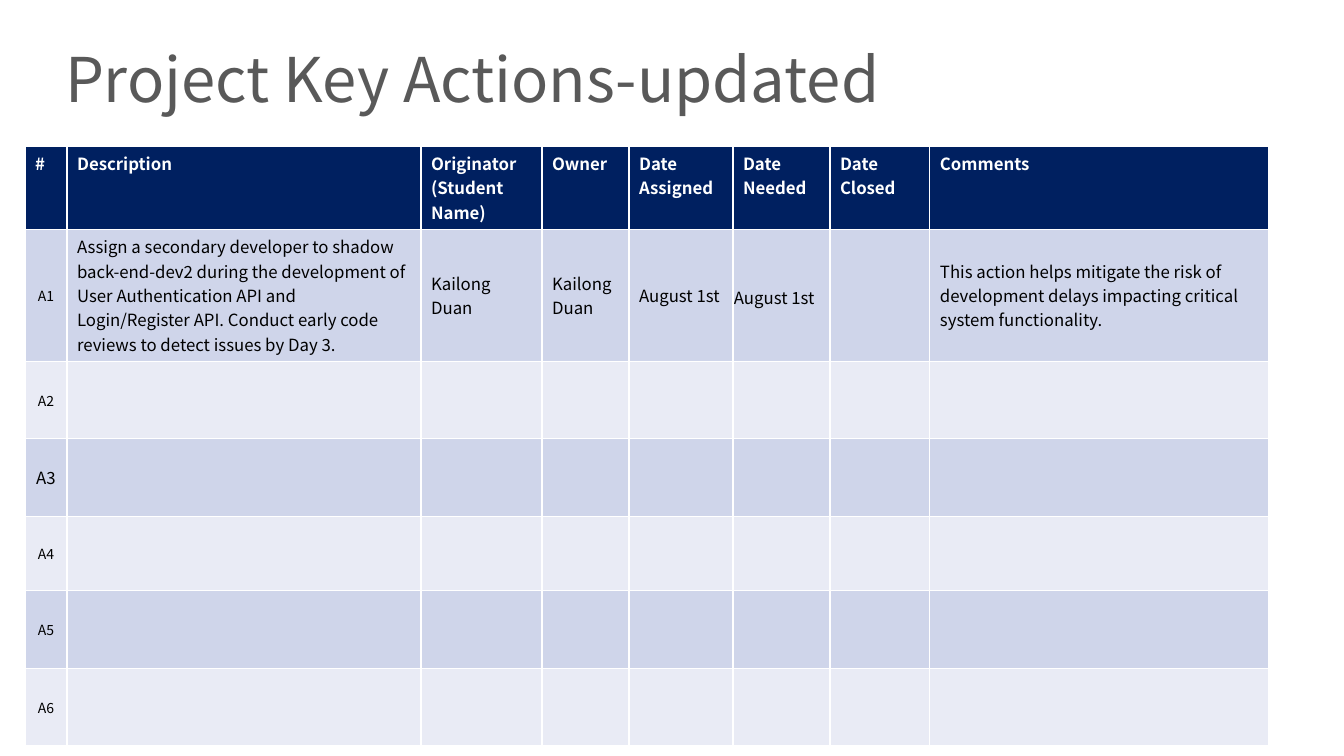
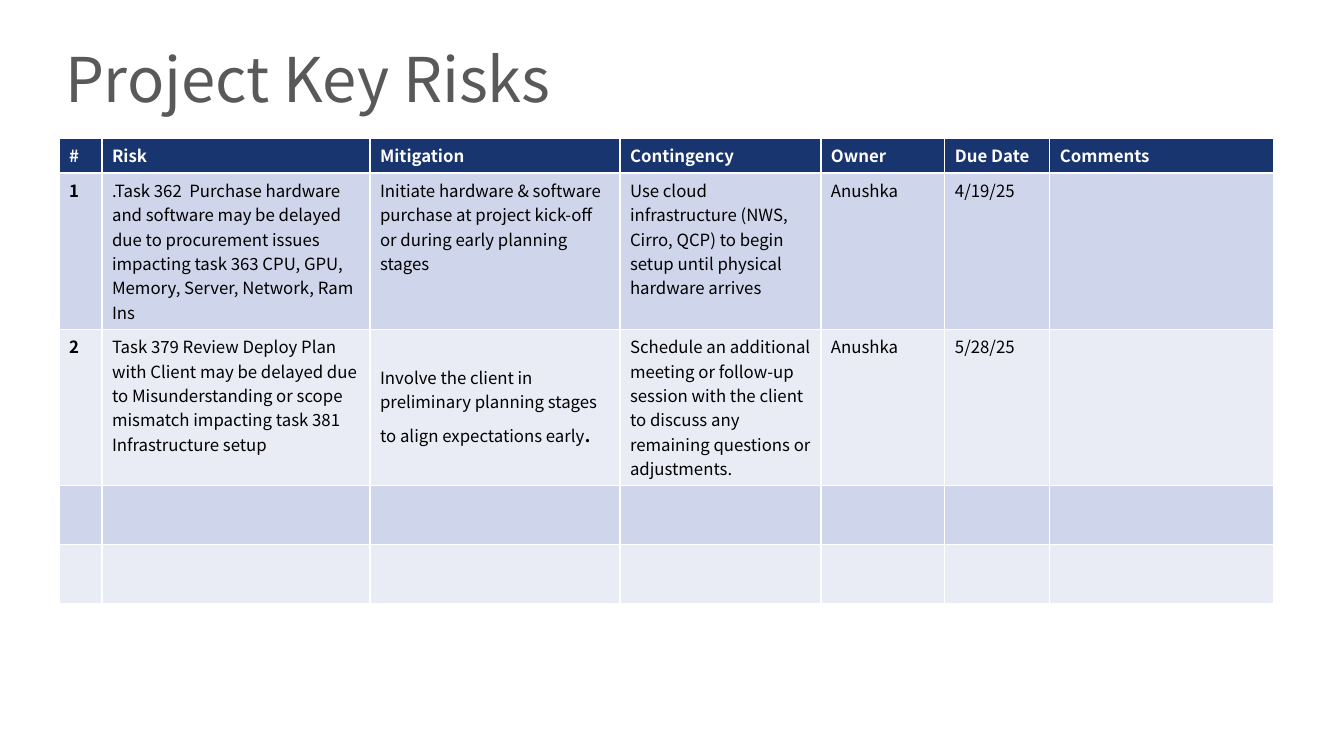
from dataclasses import dataclass

from lxml.etree import SubElement
from pptx import Presentation
from pptx.dml.color import RGBColor
from pptx.enum.text import MSO_ANCHOR as Anchor, MSO_AUTO_SIZE as AutoSize, PP_ALIGN as Align
from pptx.oxml import parse_xml
from pptx.oxml.ns import nsdecls, qn
from pptx.util import Emu, Pt

PX_PER_INCH = 100.8


def px(length):
    return Emu(round(length * 914400 / PX_PER_INCH))


@dataclass(frozen=True)
class Theme:
    font: str = "Noto Sans CJK SC"
    title_color: str = "595959"
    header_fill: str = "002060"
    header_text: str = "FFFFFF"
    body_text: str = "000000"
    bands: tuple = ("CFD5EA", "E9EBF5")
    rule: str = "FFFFFF"
    rule_width: int = 1
    title_size: int = 44
    table_size: int = 12
    number_size: int = 10
    stop_size: int = 18


THEME = Theme()


@dataclass(frozen=True)
class Cell:
    """Content of a table cell; tight cells have almost no margins."""
    text: str = ""
    size: int = THEME.table_size
    bold: bool = False
    align: Align = Align.LEFT
    anchor: Anchor = Anchor.TOP
    spacing: float = 1.0
    tight: bool = False


def write(frame, text, *, size, color=THEME.body_text, bold=False,
          align=Align.LEFT, spacing=1.0, append=False):
    """Fill the frame, one paragraph a line, or append to its last paragraph."""
    for index, line in enumerate(text.split("\n")):
        if index:
            paragraph = frame.add_paragraph()
        else:
            paragraph = frame.paragraphs[-1 if append else 0]
        paragraph.alignment = align
        paragraph.line_spacing = spacing
        run = paragraph.add_run()
        run.text = line
        font = run.font
        font.name, font.size, font.bold = THEME.font, Pt(size), bold
        font.color.rgb = RGBColor.from_string(color)


class Deck:
    def __init__(self, theme):
        self.theme = theme
        self.presentation = Presentation()
        self.presentation.slide_width = px(1344)
        self.presentation.slide_height = px(756)
        self.slide = None

    def add_slide(self, title):
        title_only = self.presentation.slide_layouts[5]
        self.slide = self.presentation.slides.add_slide(title_only)
        heading = self.slide.shapes.title
        heading.left, heading.top, heading.width, heading.height = map(px, (57, 26, 1102, 120))
        frame = heading.text_frame
        frame.word_wrap = True
        frame.auto_size = AutoSize.NONE
        frame.vertical_anchor = Anchor.MIDDLE
        frame.margin_left = frame.margin_right = px(8)
        frame.margin_top = frame.margin_bottom = 0
        write(frame, title, size=self.theme.title_size,
              color=self.theme.title_color, spacing=0.75)

    def add_table(self, left, top, widths, heights, headers, rows, header_opacity=100):
        """Draw a header row and banded body rows; short rows end in empty cells."""
        frame = self.slide.shapes.add_table(
            len(heights), len(widths), px(left), px(top), px(sum(widths)), px(sum(heights)))
        table = frame.table
        table.horz_banding = False
        for column, width in zip(table.columns, widths):
            column.width = px(width)
        for row, height in zip(table.rows, heights):
            row.height = px(height)

        for column, label in enumerate(headers):
            self.fill_cell(table.cell(0, column), Cell(label, bold=True),
                           self.theme.header_fill, self.theme.header_text, header_opacity)
        for number, contents in enumerate(rows, start=1):
            band = self.theme.bands[(number - 1) % 2]
            padding = [Cell()] * (len(widths) - len(contents))
            for column, content in enumerate(contents + padding):
                self.fill_cell(table.cell(number, column), content, band, self.theme.body_text)
        return table

    def fill_cell(self, cell, content, fill, color, opacity=100):
        cell.fill.solid()
        cell.fill.fore_color.rgb = RGBColor.from_string(fill)
        cell.vertical_anchor = content.anchor
        if content.tight:
            cell.margin_left = cell.margin_right = cell.margin_top = px(1)
            cell.margin_bottom = 0
        properties = cell._tc.get_or_add_tcPr()
        if opacity < 100:
            shade = properties.find(qn("a:solidFill")).find(qn("a:srgbClr"))
            SubElement(shade, qn("a:alpha")).set("val", str(opacity * 1000))
        for position, side in enumerate("LRTB"):
            properties.insert(position, parse_xml(
                f'<a:ln{side} {nsdecls("a")} w="{Pt(self.theme.rule_width)}"><a:solidFill>'
                f'<a:srgbClr val="{self.theme.rule}"/></a:solidFill></a:ln{side}>'))
        if content.text:
            write(cell.text_frame, content.text, size=content.size, color=color,
                  bold=content.bold, align=content.align, spacing=content.spacing)


def middle(text, **options):
    return Cell(text, anchor=Anchor.MIDDLE, **options)


def action_number(number):
    size = THEME.table_size if number == 3 else THEME.number_size
    return middle(f"A{number}", size=size, align=Align.CENTER, tight=True)


def add_actions(deck):
    deck.add_slide("Project Key Actions-updated")
    shadowing = [
        middle("Assign a secondary developer to shadow back-end-dev2 during the development of "
               "User Authentication API and Login/Register API. Conduct early code reviews to "
               "detect issues by Day 3."),
        middle("Kailong Duan"),
        middle("Kailong Duan"),
        middle("August 1st"),
        middle("August 1st", spacing=1.15, tight=True),
        Cell(),
        middle("This action helps mitigate the risk of development delays impacting critical "
               "system functionality."),
    ]
    deck.add_table(
        25, 146,
        widths=[42, 354, 121, 87, 104, 97, 100, 339],
        heights=[83, 132, 77, 78, 74, 78, 77],
        headers=["#", "Description", "Originator\n(Student Name)", "Owner", "Date Assigned",
                 "Date Needed", "Date Closed", "Comments"],
        rows=[[action_number(1)] + shadowing] + [[action_number(n)] for n in range(2, 7)])


def add_risks(deck):
    deck.add_slide("Project Key Risks")
    hardware_delay = [
        Cell("1", bold=True),
        middle(".Task 362  Purchase hardware and software may be delayed due to procurement "
               "issues impacting task 363 CPU, GPU, Memory, Server, Network, Ram Ins"),
        Cell("Initiate hardware & software purchase at project kick-off or during early "
             "planning stages"),
        Cell("Use cloud infrastructure (NWS, Cirro, QCP) to begin setup until physical "
             "hardware arrives"),
        Cell("Anushka"),
        Cell("4/19/25"),
    ]
    review_delay = [
        Cell("2", bold=True),
        Cell("Task 379 Review Deploy Plan with Client may be delayed due to Misunderstanding "
             "or scope mismatch impacting task 381 Infrastructure setup"),
        middle("Involve the client in preliminary planning stages to align expectations early"),
        Cell("Schedule an additional meeting or follow-up session with the client to discuss "
             "any remaining questions or adjustments."),
        Cell("Anushka"),
        Cell("5/28/25"),
    ]
    risks = deck.add_table(
        59, 138,
        widths=[43, 268, 250, 201, 124, 105, 224],
        heights=[35, 156, 156, 59, 59],
        headers=["#", "Risk", "Mitigation", "Contingency", "Owner", "Due Date", "Comments"],
        rows=[hardware_delay, review_delay, [], []],
        header_opacity=90)
    write(risks.cell(2, 2).text_frame, ".", size=THEME.stop_size, append=True)


def main():
    deck = Deck(THEME)
    add_actions(deck)
    add_risks(deck)
    deck.presentation.save("out.pptx")


if __name__ == "__main__":
    main()
